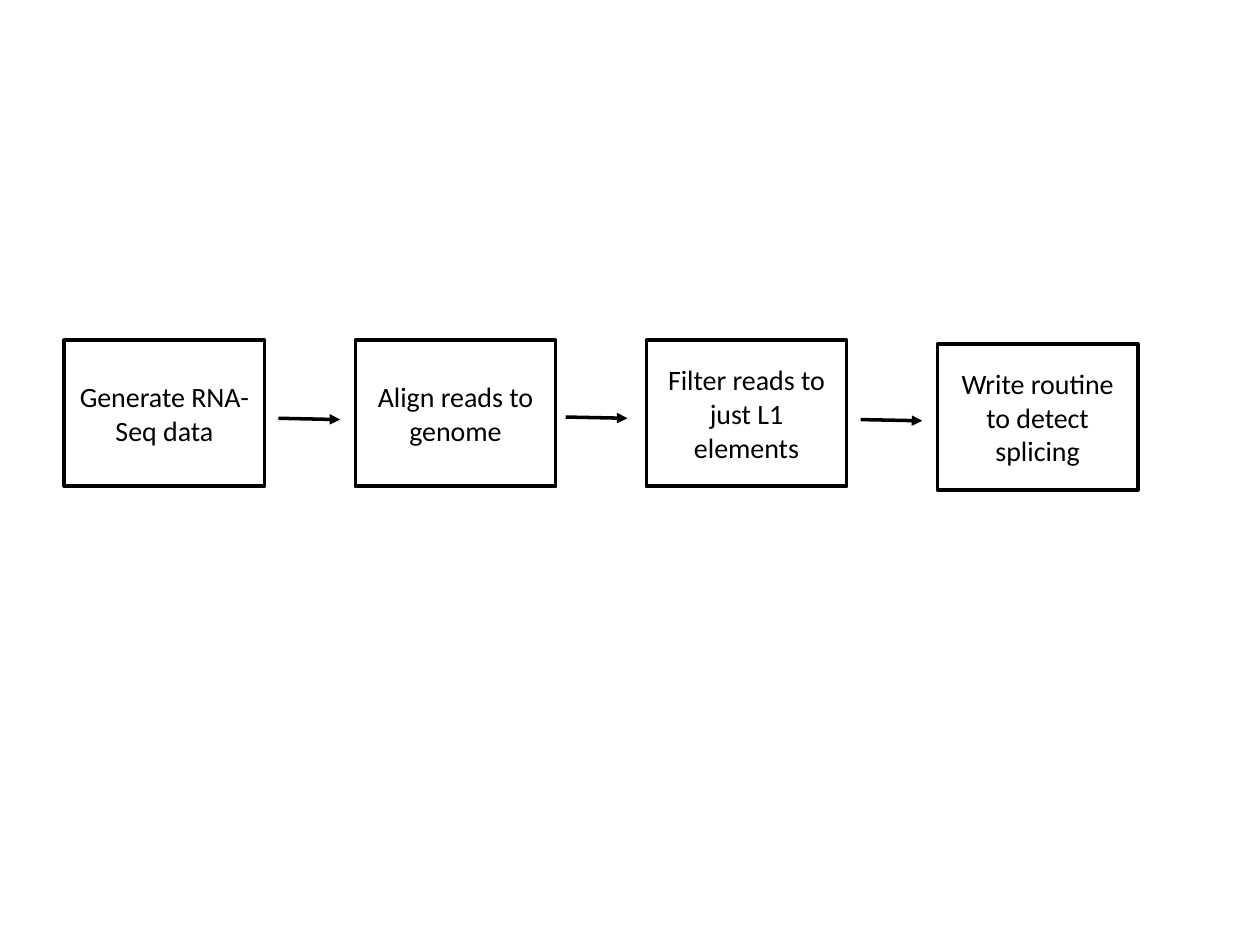
import pptx
import pptx.util
import pptx.dml.color
import pptx.enum.shapes
import pptx.enum.text
import pptx.oxml
import pptx.oxml.ns

COLORS = {"ink": "000000", "paper": "FFFFFF"}
FONT = {"name": "Calibri", "size": pptx.util.Pt(16)}
LINE_WIDTH = pptx.util.Pt(2)

LEFT, PITCH = 0.51, 2.31
BOX_WIDTH, BOX_HEIGHT = 1.59, 1.16
ARROW_LENGTH, ARROW_DROP = 0.49, 0.01

# Step text and top edge of its box
STEPS = [
    ("Generate RNA-Seq data", 2.7),
    ("Align reads to genome", 2.7),
    ("Filter reads to just L1 elements", 2.7),
    ("Write routine to detect splicing", 2.73),
]
# Gap after the box and starting height of each arrow
ARROWS = [(0.11, 3.32), (0.08, 3.31), (0.11, 3.33)]


def rgb(key):
    """Return the named colour."""
    return pptx.dml.color.RGBColor.from_string(COLORS[key])


class FlowSlide:
    """Draws a row of process steps on one slide."""

    def __init__(self, slide):
        """Keep the current slide."""
        self.slide = slide

    def column(self, index):
        """Return the left edge of a column in inches."""
        return LEFT + index * PITCH

    def outline(self, sp):
        """Apply the common line style."""
        sp.line.color.rgb = rgb("ink")
        sp.line.width = LINE_WIDTH

    def box(self, index, text, top):
        """Add a step box with centred text."""
        place = (self.column(index), top, BOX_WIDTH, BOX_HEIGHT)
        sp = self.slide.shapes.add_shape(
            pptx.enum.shapes.MSO_SHAPE.RECTANGLE, *map(pptx.util.Inches, place))
        sp.shadow.inherit = False
        sp.fill.solid()
        sp.fill.fore_color.rgb = rgb("paper")
        self.outline(sp)
        tf = sp.text_frame
        tf.word_wrap = True
        tf.vertical_anchor = pptx.enum.text.MSO_ANCHOR.MIDDLE
        p = tf.paragraphs[0]
        p.alignment = pptx.enum.text.PP_ALIGN.CENTER
        r = p.add_run()
        r.text = text
        for key, value in FONT.items():
            setattr(r.font, key, value)
        r.font.color.rgb = rgb("ink")

    def arrow(self, index, gap, y):
        """Add an arrow to the right of a step box."""
        x = self.column(index) + BOX_WIDTH + gap
        ends = (x, y, x + ARROW_LENGTH, y + ARROW_DROP)
        sp = self.slide.shapes.add_connector(
            pptx.enum.shapes.MSO_CONNECTOR.STRAIGHT, *map(pptx.util.Inches, ends))
        self.outline(sp)
        qn, element = pptx.oxml.ns.qn, pptx.oxml.parse_xml
        ns = pptx.oxml.ns.nsdecls("a")
        props = sp._element.spPr
        props.find(qn("a:ln")).append(element(f'<a:tailEnd {ns} type="triangle"/>'))
        props.append(element(f"<a:effectLst {ns}/>"))


def main():
    """Build and save the slide."""
    prs = pptx.Presentation()
    prs.slide_width = pptx.util.Inches(10)
    prs.slide_height = pptx.util.Inches(7.5)
    s = FlowSlide(prs.slides.add_slide(prs.slide_layouts[6]))
    for i, (text, top) in enumerate(STEPS):
        s.box(i, text, top)
    for i, (gap, y) in enumerate(ARROWS):
        s.arrow(i, gap, y)
    prs.save("out.pptx")


main()
